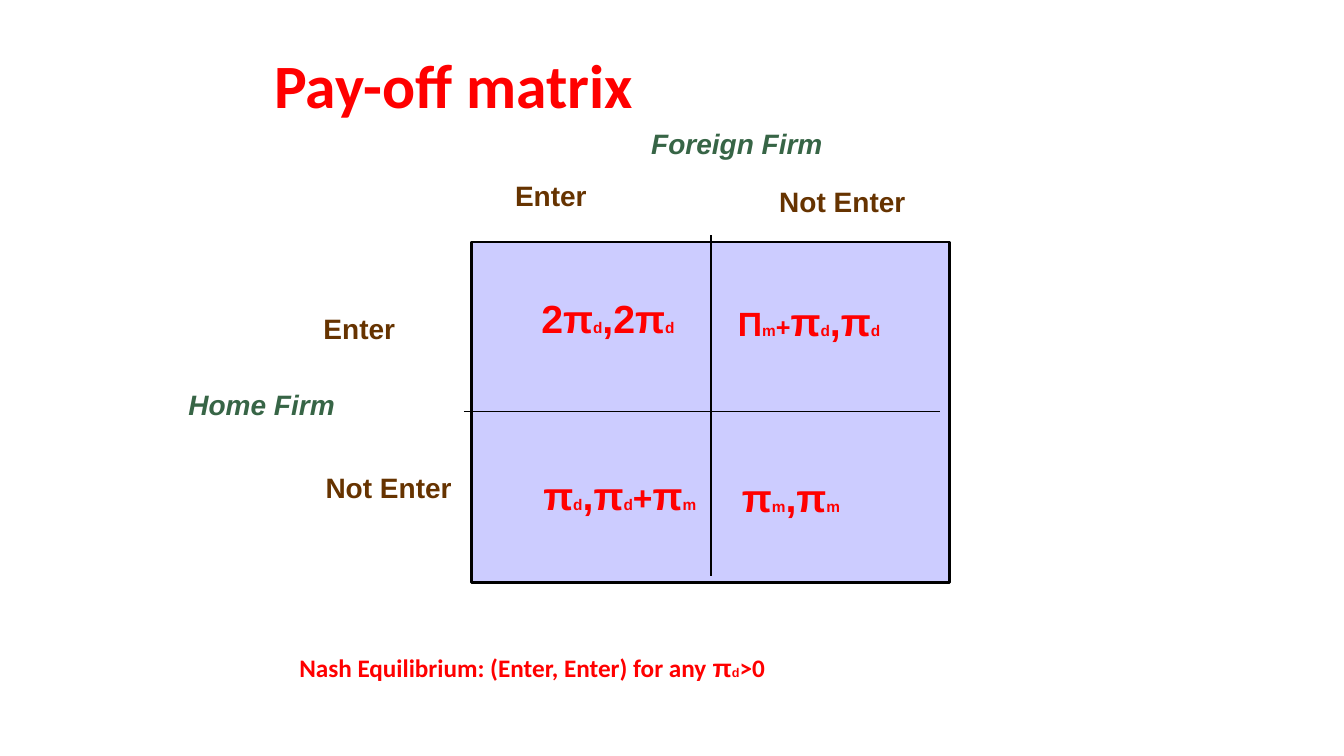
import pptx
import pptx.util
import pptx.dml.color
import pptx.enum.shapes
import pptx.enum.text
import pptx.oxml

SCALE = 9144
RED, GREEN, BROWN = "FF0000", "376546", "663300"
BLACK, LILAC = "000000", "CCCCFF"


def px(*vals):
    """Turn px lengths into EMU, at 100 px to the inch."""
    return [pptx.util.Emu(val * SCALE) for val in vals]


def tint(hue):
    """Return the colour of a hex string."""
    return pptx.dml.color.RGBColor.from_string(hue)


def write(frame, runs, hue, face="Arial", slant=None):
    """Fill the first paragraph with (text, size[, font]) runs."""
    para = frame.paragraphs[0]
    para.alignment = pptx.enum.text.PP_ALIGN.LEFT
    for text, size, *own in runs:
        run = para.add_run()
        run.text = text
        style = {"name": own[0] if own else face, "size": pptx.util.Pt(size),
                 "bold": True, "italic": slant}
        for key, val in style.items():
            setattr(run.font, key, val)
        run.font.color.rgb = tint(hue)
    return para


def label(slide, box, runs, hue, wrap=True, **look):
    """Add a text box that grows with its text."""
    frame = slide.shapes.add_textbox(*px(*box)).text_frame
    frame.word_wrap = wrap
    frame.auto_size = pptx.enum.text.MSO_AUTO_SIZE.SHAPE_TO_FIT_TEXT
    write(frame, runs, hue, **look)


def rule(slide, *ends):
    """Draw a thin black line between two points."""
    line = slide.shapes.add_connector(
        pptx.enum.shapes.MSO_CONNECTOR.STRAIGHT, *px(*ends))
    line.line.color.rgb = tint(BLACK)
    line.line.width = pptx.util.Pt(1)
    props = line._element.spPr
    props.append(pptx.oxml.parse_xml(
        '<a:effectLst xmlns:a='
        '"http://schemas.openxmlformats.org/drawingml/2006/main"/>'))


def head(slide, box):
    """Place and format the title."""
    title = slide.shapes.title
    for key, val in zip(("left", "top", "width", "height"), px(*box)):
        setattr(title, key, val)
    frame = title.text_frame
    frame.vertical_anchor = pptx.enum.text.MSO_ANCHOR.MIDDLE
    para = write(frame, [("Pay-off matrix", 44)], RED, face="Calibri")
    para.line_spacing = 0.9


def grid(slide, x, y, w, h):
    """Draw the matrix square, its two dividers and its pay-offs."""
    square = slide.shapes.add_shape(
        pptx.enum.shapes.MSO_SHAPE.RECTANGLE, *px(x, y, w, h))
    square.shadow.inherit = False
    square.fill.solid()
    square.fill.fore_color.rgb = tint(LILAC)
    square.line.color.rgb = tint(BLACK)
    square.line.width = pptx.util.Pt(2)
    midx, midy = x + w // 2, y + h // 2 - 1
    rule(slide, x - 8, midy, x + w - 10, midy)
    rule(slide, midx, y + h - 7, midx, y - 7)
    pi, duo, mono, gap = ("π", 28), ("d", 11), ("m", 11), (" ", 28)
    more = (",π", 28)
    cells = [
        (59, 47, 165, [("2π", 28), duo, (",2π", 28), duo, gap]),
        (254, 50, 176, [("Π", 24), mono, ("+", 18), pi, duo, more, duo, gap]),
        (61, 223, 177, [pi, duo, more, duo, ("+", 24), pi, mono]),
        (258, 225, 129, [pi, mono, more, mono, gap]),
    ]
    for dx, dy, wide, runs in cells:
        label(slide, (x + dx, y + dy, wide, 57), runs, RED, wrap=False)


def sides(slide, x, y):
    """Name the firms and their moves around the matrix corner."""
    firms = [("Foreign Firm", 168, -119, 191), ("Home Firm", -291, 140, 166)]
    for name, dx, dy, wide in firms:
        label(slide, (x + dx, y + dy, wide, 43), [(name, 20)], GREEN,
              wrap=False, slant=True)
    moves = [("Enter", 33, -68, 147), ("Not Enter", 295, -62, 179),
             ("Enter", -157, 64, 147), ("Not Enter", -155, 222, 179)]
    for name, dx, dy, wide in moves:
        label(slide, (x + dx, y + dy, wide, 43), [(name, 20)], BROWN)


def note(slide, box):
    """State the equilibrium below the matrix."""
    runs = [("Nash Equilibrium: (Enter, Enter) for any ", 18),
            ("π", 18, "Arial"), ("d", 9, "Arial"), (">0", 18)]
    label(slide, box, runs, RED, face="Calibri")


def main():
    """Build the slide and save it."""
    deck = pptx.Presentation()
    deck.slide_width, deck.slide_height = px(1333, 750)
    slide = deck.slides.add_slide(deck.slide_layouts[5])
    head(slide, (262, 25, 565, 125))
    grid(slide, 468, 240, 474, 338)
    sides(slide, 468, 240)
    note(slide, (287, 642, 655, 71))
    deck.save("out.pptx")


if __name__ == "__main__":
    main()
